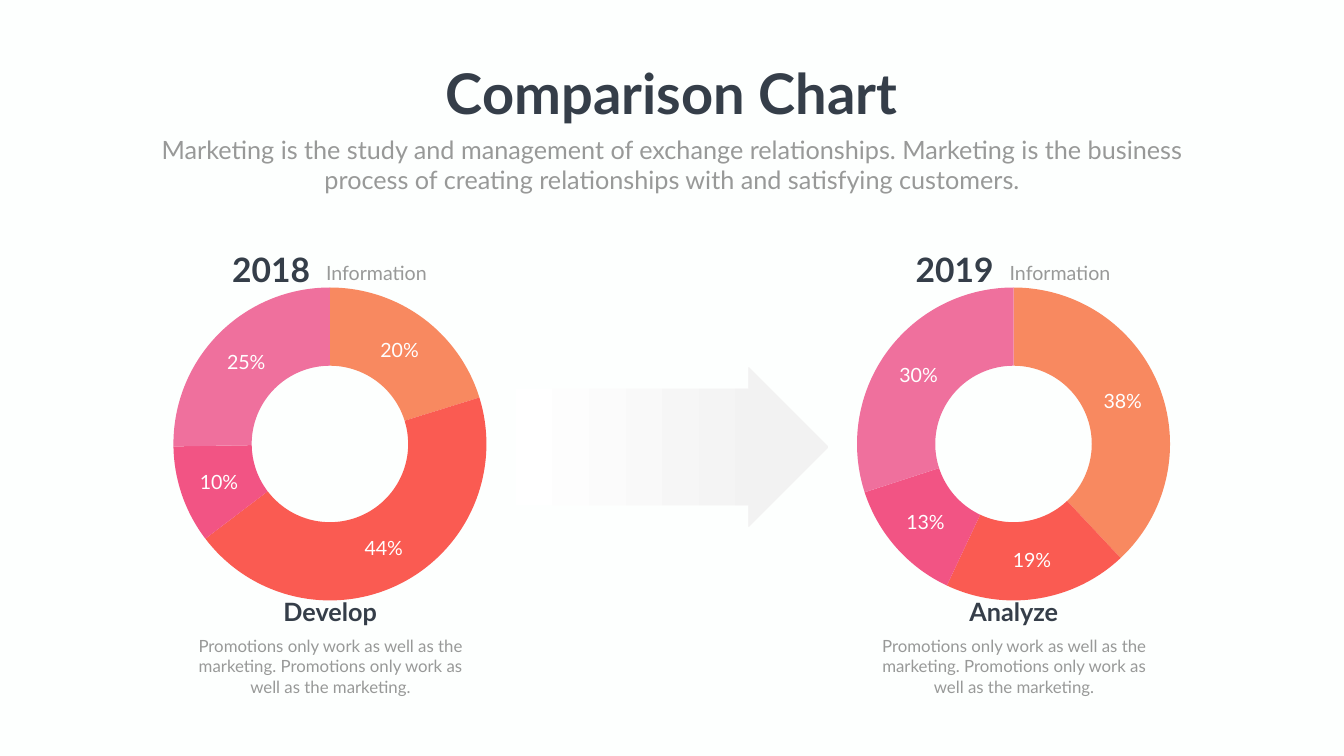
from dataclasses import dataclass
from typing import Any

from lxml import etree
from pptx import Presentation
from pptx.chart.data import CategoryChartData
from pptx.dml.color import RGBColor
from pptx.enum.chart import XL_CHART_TYPE
from pptx.enum.shapes import MSO_SHAPE
from pptx.enum.text import MSO_ANCHOR, MSO_AUTO_SIZE, PP_ALIGN
from pptx.oxml.ns import qn
from pptx.util import Inches, Pt

DOUGHNUT = XL_CHART_TYPE.DOUGHNUT
RIGHT_ARROW = MSO_SHAPE.RIGHT_ARROW
TOP = MSO_ANCHOR.TOP
NO_AUTOFIT = MSO_AUTO_SIZE.NONE
LEFT, CENTER, RIGHT = PP_ALIGN.LEFT, PP_ALIGN.CENTER, PP_ALIGN.RIGHT


@dataclass(frozen=True)
class Theme:
    font: str = "Lato"
    background: str = "FDFFFE"
    dark: str = "353E49"
    grey: str = "989998"
    white: str = "FFFFFF"
    arrow: str = "F2F2F2"
    slices: tuple[str, ...] = ("F88960", "FA5B52", "F25484", "EF709D")
    title: int = 80
    year: int = 48
    heading: int = 36
    label: int = 28
    body: int = 24


@dataclass(frozen=True)
class Box:
    left: float
    top: float
    width: float
    height: float

    def shifted(self, dx: float) -> "Box":
        return Box(self.left + dx, self.top, self.width, self.height)

    def lengths(self) -> tuple[int, ...]:
        return tuple(Inches(v) for v in (self.left, self.top, self.width, self.height))


@dataclass(frozen=True)
class YearPanel:
    year: str
    stage: str
    shares: tuple[int, ...]


THEME = Theme()
PANEL_STEP = 13.56
RING_DIAMETER = 6.21
CHART_BOX = Box(3.09, 5.57, 6.91, 6.48)
PANELS = (
    YearPanel("2018", "Develop", (20, 44, 10, 25)),
    YearPanel("2019", "Analyze", (38, 19, 13, 30)),
)
SUBTITLE = (
    "Marketing is the study and management of exchange relationships. "
    "Marketing is the business process of creating relationships with "
    "and satisfying customers."
)
DESCRIPTION = (
    "Promotions only work as well as the marketing. "
    "Promotions only work as well as the marketing."
)


def set_font(font: Any, size: int, color: str, bold: bool = False) -> None:
    values = {"name": THEME.font, "size": Pt(size), "bold": bold}
    for attribute, value in values.items():
        setattr(font, attribute, value)
    font.color.rgb = RGBColor.from_string(color)


def write_text(shape: Any, text: str, size: int, color: str, bold: bool = False,
               align: Any = CENTER, wrap: bool = True) -> Any:
    frame = shape.text_frame
    frame.text = text
    values = {"word_wrap": wrap, "auto_size": NO_AUTOFIT, "vertical_anchor": TOP}
    for attribute, value in values.items():
        setattr(frame, attribute, value)
    paragraph = frame.paragraphs[0]
    paragraph.alignment = align
    set_font(paragraph.runs[0].font, size, color, bold)
    return paragraph


def add_text(slide: Any, box: Box, text: str, size: int, color: str,
             bold: bool = False, align: Any = CENTER) -> Any:
    return write_text(slide.shapes.add_textbox(*box.lengths()),
                      text, size, color, bold, align)


def center_plot(chart: Any, box: Box) -> None:
    """Fix the ring's diameter and centre it in the chart box."""
    plot_area = chart.plots[0]._element.getparent()
    for old_layout in plot_area.findall(qn("c:layout")):
        plot_area.remove(old_layout)
    layout = etree.Element(qn("c:layout"))
    manual = etree.SubElement(layout, qn("c:manualLayout"))
    width, height = RING_DIAMETER / box.width, RING_DIAMETER / box.height
    values = {
        "layoutTarget": "inner", "xMode": "edge", "yMode": "edge",
        "x": round((1 - width) / 2, 4), "y": round((1 - height) / 2, 4),
        "w": round(width, 4), "h": round(height, 4),
    }
    for tag, value in values.items():
        etree.SubElement(manual, qn(f"c:{tag}")).set("val", str(value))
    plot_area.insert(0, layout)


def add_doughnut(slide: Any, box: Box, shares: tuple[int, ...]) -> None:
    data = CategoryChartData()
    data.categories = [str(i) for i in range(1, len(shares) + 1)]
    data.add_series("Series 1", shares)
    chart = slide.shapes.add_chart(DOUGHNUT, *box.lengths(), data).chart
    chart.has_legend = False
    chart.has_title = False
    set_font(chart.font, THEME.label, THEME.white)
    center_plot(chart, box)

    plot = chart.plots[0]
    plot.vary_by_categories = True
    plot.has_data_labels = True
    labels = plot.data_labels
    formats = {"show_percentage": True, "show_value": False,
               "number_format": "0%", "number_format_is_linked": False}
    for attribute, value in formats.items():
        setattr(labels, attribute, value)
    set_font(labels.font, THEME.label, THEME.white)

    for index, color in enumerate(THEME.slices):
        slice_format = plot.series[0].points[index].format
        slice_format.fill.solid()
        slice_format.fill.fore_color.rgb = RGBColor.from_string(color)
        slice_format.line.fill.background()


def add_arrow(slide: Any, box: Box) -> None:
    arrow = slide.shapes.add_shape(RIGHT_ARROW, *box.lengths())
    arrow.shadow.inherit = False
    arrow.adjustments[0], arrow.adjustments[1] = 0.729, 0.5
    arrow.line.fill.background()
    arrow.fill.gradient()
    arrow.fill.gradient_angle = 0
    stops = ((0, THEME.white), (0.82, THEME.arrow))
    for stop, (position, color) in zip(arrow.fill.gradient_stops, stops):
        stop.position = position
        stop.color.rgb = RGBColor.from_string(color)


def add_panel(slide: Any, panel: YearPanel, dx: float) -> None:
    add_doughnut(slide, CHART_BOX.shifted(dx), panel.shares)
    information = add_text(slide, Box(6.37, 5.03, 2.26, 0.62).shifted(dx),
                           "Information", THEME.label, THEME.grey, align=LEFT)
    information.line_spacing = Pt(40.8)
    add_text(slide, Box(4.47, 4.88, 1.78, 0.91).shifted(dx),
             panel.year, THEME.year, THEME.dark, True, RIGHT)
    add_text(slide, Box(4.41, 11.78, 4.28, 0.71).shifted(dx),
             panel.stage, THEME.heading, THEME.dark, True)
    add_text(slide, Box(3.69, 12.57, 5.73, 1.31).shifted(dx),
             DESCRIPTION, THEME.body, THEME.grey)


def main() -> None:
    presentation = Presentation()
    presentation.slide_width = Inches(26.66)
    presentation.slide_height = Inches(15)
    slide = presentation.slides.add_slide(presentation.slide_layouts[5])
    slide.background.fill.solid()
    slide.background.fill.fore_color.rgb = RGBColor.from_string(THEME.background)

    # Heading
    title = slide.shapes.title
    title.left, title.top, title.width, title.height = Box(8.67, 1.12, 9.31, 1.45).lengths()
    write_text(title, "Comparison Chart", THEME.title, THEME.dark, True, wrap=False)
    add_text(slide, Box(2.92, 2.61, 20.82, 1.31), SUBTITLE, THEME.heading, THEME.grey)

    # Transition between the two years
    add_arrow(slide, Box(10.23, 7.29, 6.2, 3.16))

    # One panel per year
    for index, panel in enumerate(PANELS):
        add_panel(slide, panel, index * PANEL_STEP)

    presentation.save("out.pptx")


if __name__ == "__main__":
    main()
